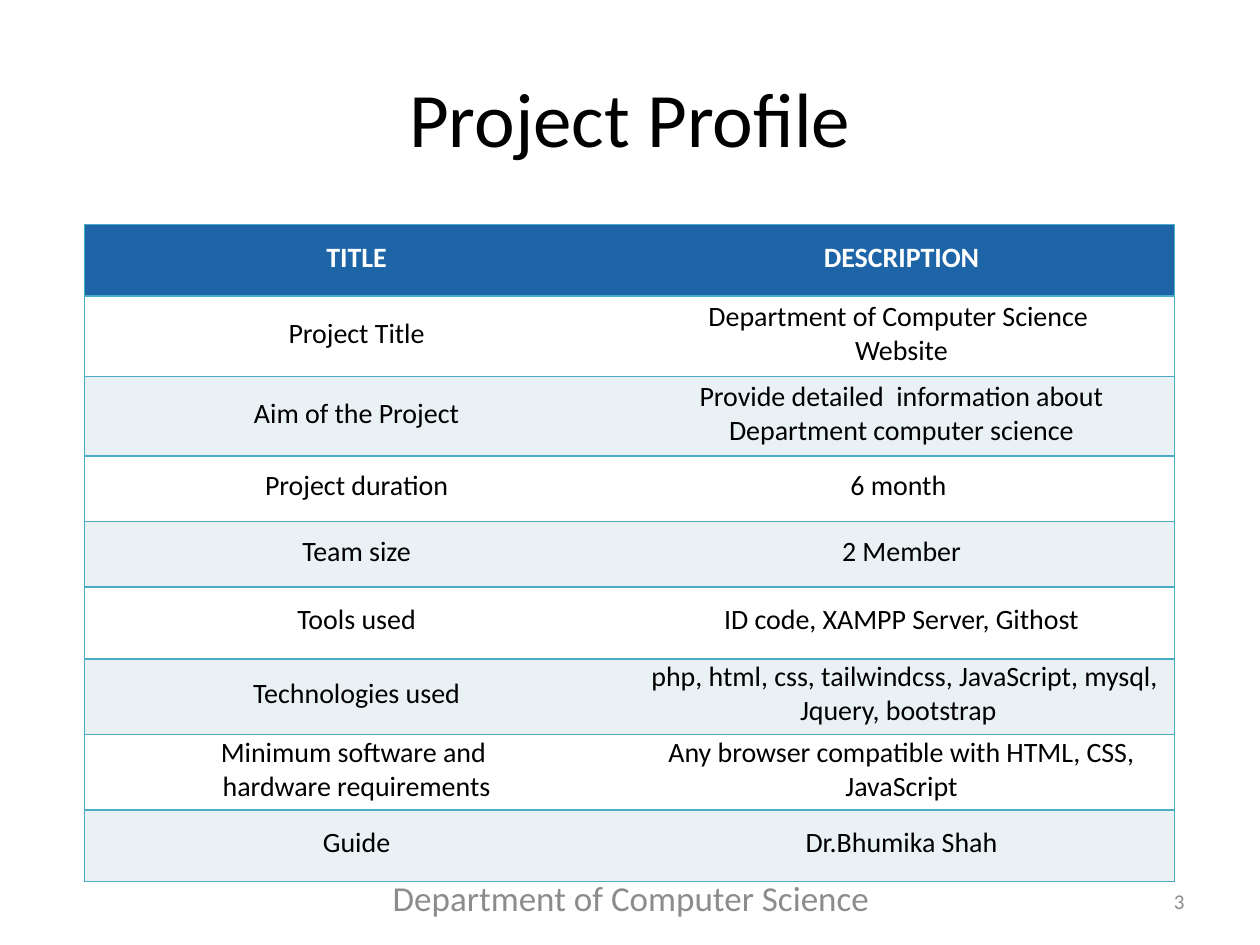
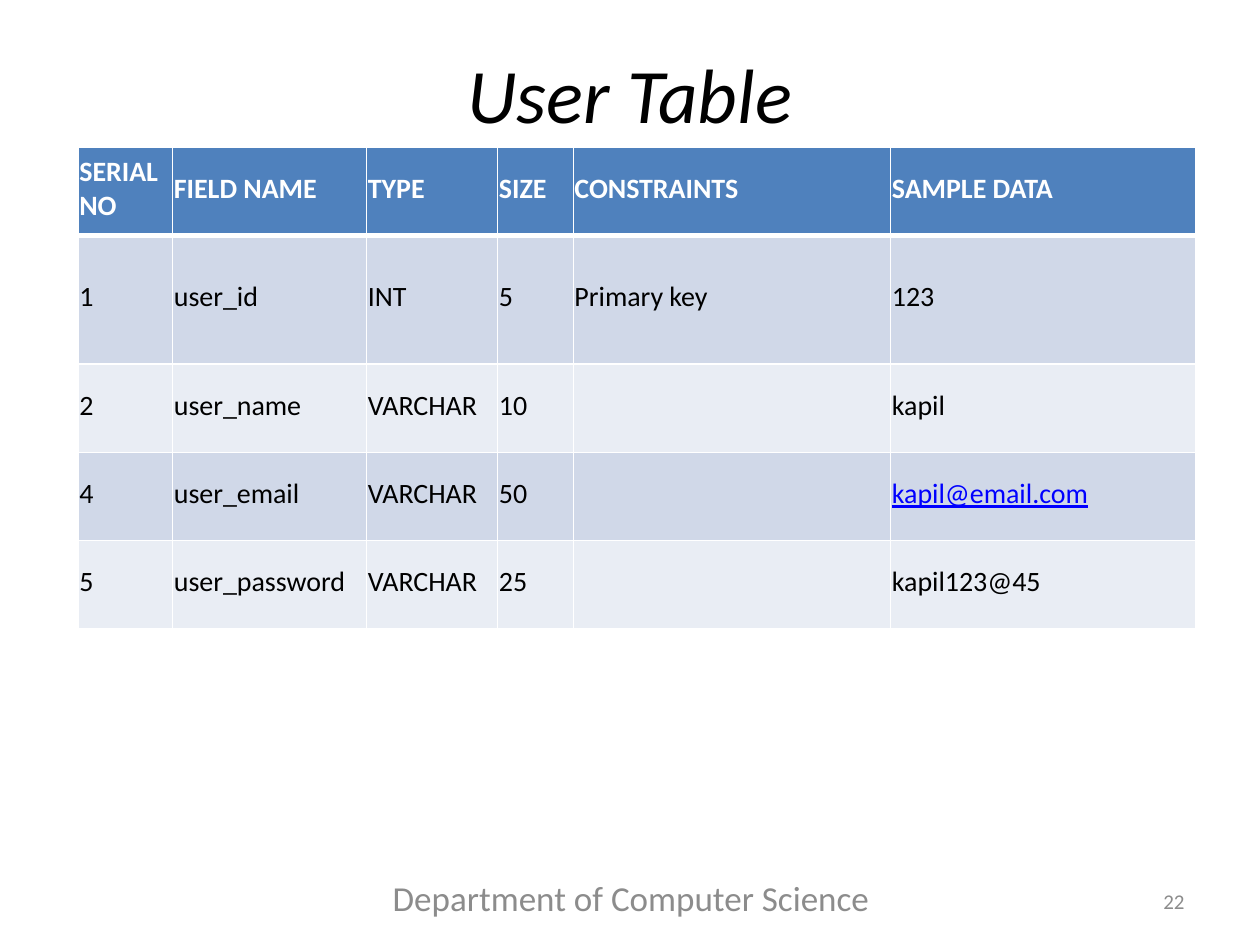
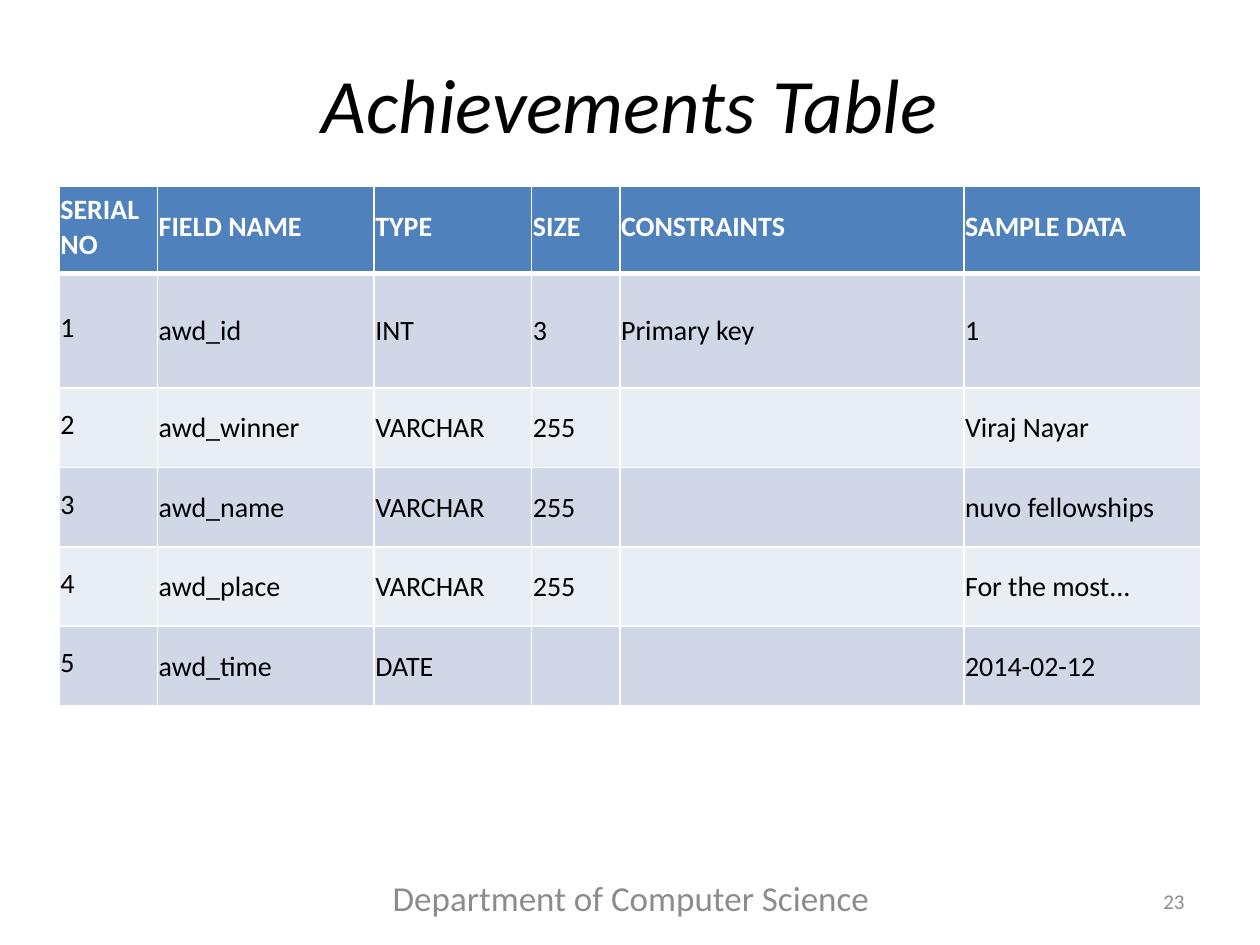
from lxml import etree
from pptx import Presentation
from pptx import util as u
from pptx.dml.color import RGBColor
from pptx.enum import text
from pptx.oxml import ns

# Shared look
FONT = "Calibri"
BLACK, WHITE, GREY, LINK = "000000", "FFFFFF", "8C8C8C", "0000FF"
TEAL, DARK_BLUE, PALE_BLUE = "4BACC6", "1E65A8", "E9F1F5"
BLUE, BAND_DARK, BAND_LIGHT = "4F81BD", "D0D8E8", "E9EDF4"
CENTER, RIGHT, LEFT = text.PP_ALIGN.CENTER, text.PP_ALIGN.RIGHT, text.PP_ALIGN.LEFT
FOOTER_BOX = (2.83, 6.92, 4.42, 0.4)
NUMBER_BOX = (7.17, 6.95, 2.33, 0.4)

# Table contents
PROFILE_ROWS = [
    ("TITLE", "DESCRIPTION"),
    ("Project Title", "Department of Computer Science \nWebsite"),
    ("Aim of the Project",
     "Provide detailed  information about Department computer science"),
    ("Project duration", "6 month "),
    ("Team size", "2 Member"),
    ("Tools used", "ID code, XAMPP Server, Githost"),
    ("Technologies used",
     " php, html, css, tailwindcss, JavaScript, mysql, Jquery, bootstrap "),
    ("Minimum software and \nhardware requirements",
     "Any browser compatible with HTML, CSS, JavaScript"),
    ("Guide", "Dr.Bhumika Shah"),
]
FIELD_HEADER = ("SERIAL NO", "FIELD NAME", "TYPE", "SIZE", "CONSTRAINTS", "SAMPLE DATA")
USER_EMAIL = "kapil@email.com"
USER_ROWS = [
    FIELD_HEADER,
    ("1", "user_id", "INT", "5", "Primary key", "123"),
    ("2", "user_name", "VARCHAR", "10", "", "kapil"),
    ("4", "user_email", "VARCHAR", "50", "", USER_EMAIL),
    ("5", "user_password", "VARCHAR", "25", "", "kapil123@45"),
]
ACHIEVEMENT_ROWS = [
    FIELD_HEADER,
    ("1", "awd_id", "INT", "3", "Primary key", "1"),
    ("2", "awd_winner", "VARCHAR", "255", "", "Viraj Nayar"),
    ("3", "awd_name", "VARCHAR", "255", "", "nuvo fellowships"),
    ("4", "awd_place", "VARCHAR", "255", "", "For the most..."),
    ("5", "awd_time", "DATE", "", "", "2014-02-12"),
]


def color(hex_value):
    return RGBColor.from_string(hex_value)


def write(text_frame, content, size, hex_value, align=LEFT, bold=False, italic=False):
    text_frame.text = content
    for paragraph in text_frame.paragraphs:
        paragraph.alignment = align
        for run in paragraph.runs:
            run.font.name = FONT
            run.font.size = u.Pt(size)
            run.font.color.rgb = color(hex_value)
            run.font.bold = bold
            run.font.italic = italic


# Title, footer and slide number
def add_text_box(slide, box, content, size, align):
    text_frame = slide.shapes.add_textbox(*map(u.Inches, box)).text_frame
    text_frame.word_wrap = True
    text_frame.vertical_anchor = text.MSO_ANCHOR.MIDDLE
    write(text_frame, content, size, GREY, align)


def add_titled_slide(presentation, title, number, title_height, italic=False):
    slide = presentation.slides.add_slide(presentation.slide_layouts.get_by_name("Title Only"))
    shape = slide.shapes.title
    shape.left, shape.top = u.Inches(0.5), u.Inches(0.3)
    shape.width, shape.height = u.Inches(9), u.Inches(title_height)
    shape.text_frame.auto_size = text.MSO_AUTO_SIZE.NONE
    shape.text_frame.vertical_anchor = text.MSO_ANCHOR.MIDDLE
    write(shape.text_frame, title, 44, BLACK, CENTER, italic=italic)
    add_text_box(slide, FOOTER_BOX, "Department of Computer Science ", 20, CENTER)
    add_text_box(slide, NUMBER_BOX, str(number), 12, RIGHT)
    return slide


# Tables
def set_borders(cell, hex_value, widths):
    """Draw the left, right, top and bottom borders; a width of 0 hides one."""
    properties = cell._tc.get_or_add_tcPr()
    for position, (side, width) in enumerate(zip("LRTB", widths)):
        line = etree.Element(ns.qn(f"a:ln{side}"), w=str(u.Pt(width)))
        if width:
            fill = etree.SubElement(line, ns.qn("a:solidFill"))
            etree.SubElement(fill, ns.qn("a:srgbClr"), val=hex_value)
        else:
            etree.SubElement(line, ns.qn("a:noFill"))
        properties.insert(position, line)


def add_grid(slide, left, top, column_widths, row_heights, rows, fills, align=LEFT):
    """Add a table filled with a header colour and two alternating bands."""
    header_fill, *bands = fills
    frame = slide.shapes.add_table(
        len(rows), len(column_widths), u.Inches(left), u.Inches(top),
        u.Inches(sum(column_widths)), u.Inches(sum(row_heights)))
    table = frame.table
    table.horz_banding = False
    for column, width in zip(table.columns, column_widths):
        column.width = u.Inches(width)
    for row_index, (row, height) in enumerate(zip(table.rows, row_heights)):
        row.height = u.Inches(height)
        is_header = row_index == 0
        for cell, content in zip(row.cells, rows[row_index]):
            cell.margin_left = cell.margin_right = cell.margin_top = u.Inches(0.01)
            cell.margin_bottom = u.Inches(0.05)
            cell.vertical_anchor = text.MSO_ANCHOR.MIDDLE
            cell.fill.solid()
            cell.fill.fore_color.rgb = color(
                header_fill if is_header else bands[(row_index - 1) % 2])
            write(cell.text_frame, content, 16, WHITE if is_header else BLACK,
                  align, bold=is_header)
    return table


def add_profile_table(slide, left, top):
    heights = [0.57, 0.64, 0.63, 0.52, 0.52, 0.57, 0.6, 0.6, 0.57]
    table = add_grid(slide, left, top, [4.32, 4.33], heights, PROFILE_ROWS,
                     (DARK_BLUE, WHITE, PALE_BLUE), CENTER)
    for row in table.rows:
        label, description = row.cells
        set_borders(label, TEAL, (1, 0, 1, 1))
        set_borders(description, TEAL, (0, 1, 1, 1))


def add_field_table(slide, left, top, column_widths, row_heights, rows):
    table = add_grid(slide, left, top, column_widths, row_heights, rows,
                     (BLUE, BAND_DARK, BAND_LIGHT))
    for row_index, row in enumerate(table.rows):
        top_width = 3 if row_index == 1 else 1
        bottom_width = 3 if row_index == 0 else 1
        for cell in row.cells:
            set_borders(cell, WHITE, (1, 1, top_width, bottom_width))
    return table


# Slides
def build_profile_slide(presentation):
    slide = add_titled_slide(presentation, "Project Profile", 3, 1.25)
    add_profile_table(slide, 0.67, 1.78)


def build_user_slide(presentation):
    slide = add_titled_slide(presentation, "User Table", 22, 0.87, italic=True)
    table = add_field_table(slide, 0.62, 1.17, [0.75, 1.54, 1.04, 0.6, 2.52, 2.42],
                            [0.7, 1.02] + [0.7] * 3, USER_ROWS)
    for cell in table.iter_cells():
        if cell.text_frame.text == USER_EMAIL:
            font = cell.text_frame.paragraphs[0].runs[0].font
            font.color.rgb = color(LINK)
            font.underline = True


def build_achievements_slide(presentation):
    slide = add_titled_slide(presentation, "Achievements Table", 23, 1.03, italic=True)
    table = add_field_table(slide, 0.47, 1.48, [0.78, 1.72, 1.25, 0.7, 2.73, 1.88],
                            [0.69, 0.91] + [0.63] * 4, ACHIEVEMENT_ROWS)
    for row in list(table.rows)[1:]:
        for cell in list(row.cells)[1:]:
            cell.margin_bottom = 0


def main():
    presentation = Presentation()
    presentation.slide_width, presentation.slide_height = u.Inches(10), u.Inches(7.5)
    build_profile_slide(presentation)
    build_user_slide(presentation)
    build_achievements_slide(presentation)
    presentation.save("out.pptx")


if __name__ == "__main__":
    main()
